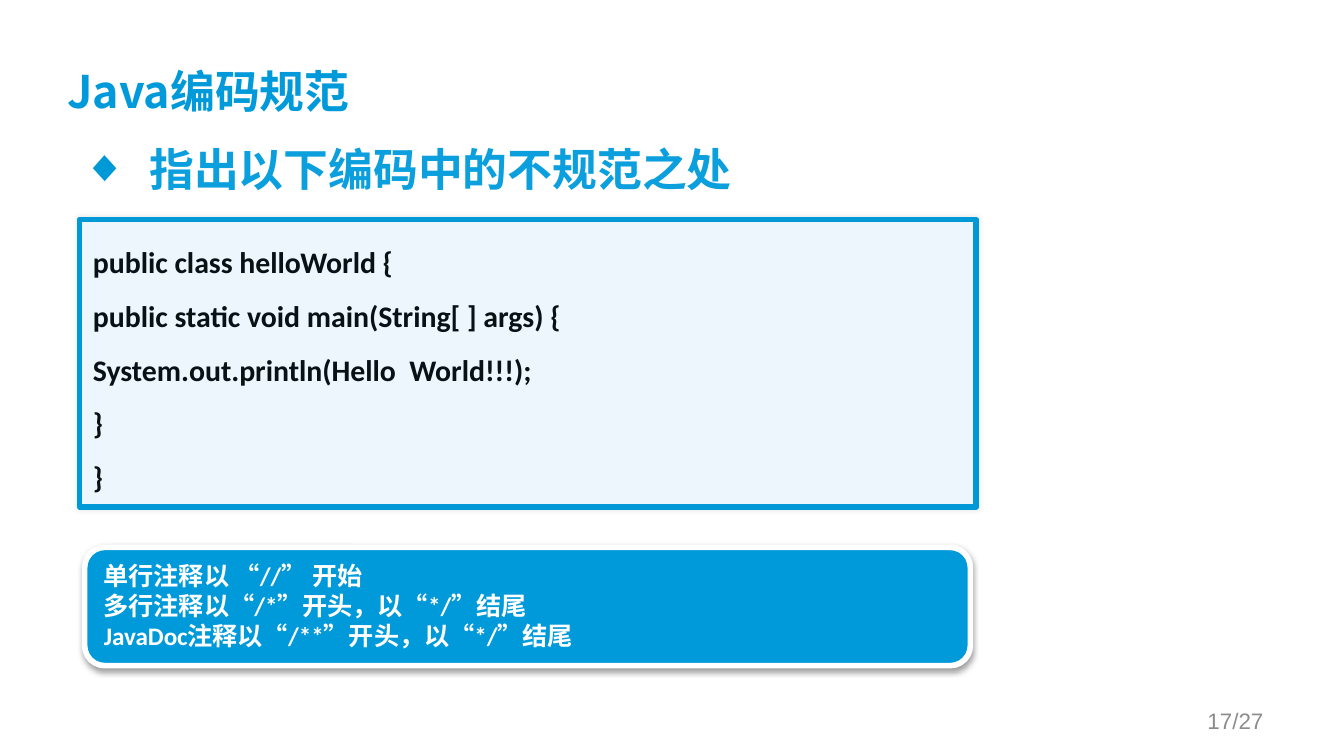
from dataclasses import dataclass
from typing import Optional

from lxml.etree import SubElement
from pptx import Presentation
from pptx.dml.color import RGBColor
from pptx.enum.shapes import MSO_SHAPE as Shape
from pptx.enum.text import MSO_ANCHOR as Anchor, MSO_AUTO_SIZE as AutoSize, PP_ALIGN as Align
from pptx.oxml.ns import qn
from pptx.util import Inches, Pt

COLUMNS, ROWS = 100, 56.25
CELL = Inches(0.1)
CJK_FONT = "Noto Sans CJK SC"
BLUE = "009ADA"
BORDER_BLUE = "0099D8"


@dataclass(frozen=True)
class Area:
    """A place on the grid, in columns and rows."""
    column: float
    row: float
    columns: float
    rows: float

    def lengths(self) -> list[int]:
        return [round(n * CELL) for n in (self.column, self.row, self.columns, self.rows)]


@dataclass(frozen=True)
class TextStyle:
    size: float
    font: str
    color: str
    bold: bool = True
    line_spacing: float = 1.0
    align: Align = Align.LEFT
    anchor: Anchor = Anchor.TOP
    insets: tuple[float, float, float, float] = (0.1, 0.05, 0.1, 0.05)
    bullet: Optional[str] = None


@dataclass(frozen=True)
class Shadow:
    opacity: int
    blur: float
    distance: float = 0
    angle: int = 0


@dataclass(frozen=True)
class Panel:
    area: Area
    corner: float
    fill: str
    line: str
    shadow: Shadow
    style: TextStyle
    lines: tuple[str, ...]


@dataclass(frozen=True)
class Label:
    area: Area
    style: TextStyle
    text: str


def color(value: str) -> RGBColor:
    return RGBColor.from_string(value)


def add_bullet(paragraph, character: str) -> None:
    properties = paragraph._p.get_or_add_pPr()
    properties.set("marL", str(Inches(0.5)))
    properties.set("indent", str(-Inches(0.5)))
    bullet_color = SubElement(properties, qn("a:buClr"))
    SubElement(bullet_color, qn("a:srgbClr"), val=BORDER_BLUE)
    SubElement(properties, qn("a:buFont"), typeface="Arial")
    SubElement(properties, qn("a:buChar"), char=character)


def write_text(shape, lines: tuple[str, ...], style: TextStyle) -> None:
    frame = shape.text_frame
    frame.word_wrap = True
    frame.auto_size = AutoSize.NONE
    frame.vertical_anchor = style.anchor
    (frame.margin_left, frame.margin_top,
     frame.margin_right, frame.margin_bottom) = map(Inches, style.insets)
    for index, line in enumerate(lines):
        paragraph = frame.add_paragraph() if index else frame.paragraphs[0]
        if style.bullet:
            add_bullet(paragraph, style.bullet)
        paragraph.alignment = style.align
        paragraph.line_spacing = style.line_spacing
        run = paragraph.add_run()
        run.text = line
        run.font.size = Pt(style.size)
        run.font.bold = style.bold
        run.font.name = style.font
        run.font.color.rgb = color(style.color)
        SubElement(run.font._element, qn("a:ea"), typeface=CJK_FONT)


def add_shadow(shape, shadow: Shadow) -> None:
    shape.shadow.inherit = False
    effects = shape._element.spPr.find(qn("a:effectLst"))
    outer = SubElement(
        effects, qn("a:outerShdw"), blurRad=str(Pt(shadow.blur)),
        dist=str(Pt(shadow.distance)), dir=str(shadow.angle * 60000),
        algn="ctr", rotWithShape="0")
    shadow_color = SubElement(outer, qn("a:srgbClr"), val="000000")
    SubElement(shadow_color, qn("a:alpha"), val=str(shadow.opacity * 1000))


def add_panel(slide, panel: Panel) -> None:
    shape = slide.shapes.add_shape(Shape.ROUNDED_RECTANGLE, *panel.area.lengths())
    shape.adjustments[0] = panel.corner
    shape.fill.solid()
    shape.fill.fore_color.rgb = color(panel.fill)
    shape.line.color.rgb = color(panel.line)
    shape.line.width = Pt(3)
    add_shadow(shape, panel.shadow)
    write_text(shape, panel.lines, panel.style)


def add_label(slide, label: Label) -> None:
    box = slide.shapes.add_textbox(*label.area.lengths())
    write_text(box, (label.text,), label.style)


TITLE = Label(
    Area(5, 2.25, 90, 9.4),
    TextStyle(24, CJK_FONT, BLUE, anchor=Anchor.MIDDLE, insets=(0, 0, 0.1, 0.05)),
    "Java编码规范")
QUESTION = Label(
    Area(5.13, 10.03, 86.6, 5.3),
    TextStyle(24, CJK_FONT, "0B9FDD", bullet="◆"),
    "指出以下编码中的不规范之处")
PAGE_NUMBER = Label(
    Area(71.7, 52.13, 23.3, 3),
    TextStyle(12, "Arial", "8C8C8C", bold=False, align=Align.RIGHT, anchor=Anchor.MIDDLE),
    "17/27")
CODE = Panel(
    Area(5.93, 16.33, 66.7, 21.4), 0.0, "EDF5FD", BORDER_BLUE, Shadow(10, 3),
    TextStyle(16, "Calibri", "071215", line_spacing=1.5),
    ("public class helloWorld {",
     "public static void main(String[ ] args) {",
     "System.out.println(Hello  World!!!);",
     "}",
     "}"))
COMMENT_RULES = Panel(
    Area(6.3, 40.73, 65.9, 8.8), 0.17, BLUE, "FFFFFF", Shadow(38, 3.1, 1.6, 90),
    TextStyle(13.5, "Calibri", "FFFFFF"),
    ("单行注释以 “//” 开始",
     "多行注释以“/*”开头，以“*/”结尾",
     "JavaDoc注释以“/**”开头，以“*/”结尾"))


def main() -> None:
    presentation = Presentation()
    presentation.slide_width = round(COLUMNS * CELL)
    presentation.slide_height = round(ROWS * CELL)
    slide = presentation.slides.add_slide(presentation.slide_layouts[6])
    add_label(slide, TITLE)
    add_panel(slide, CODE)
    add_label(slide, QUESTION)
    add_panel(slide, COMMENT_RULES)
    add_label(slide, PAGE_NUMBER)
    presentation.save("out.pptx")


if __name__ == "__main__":
    main()
